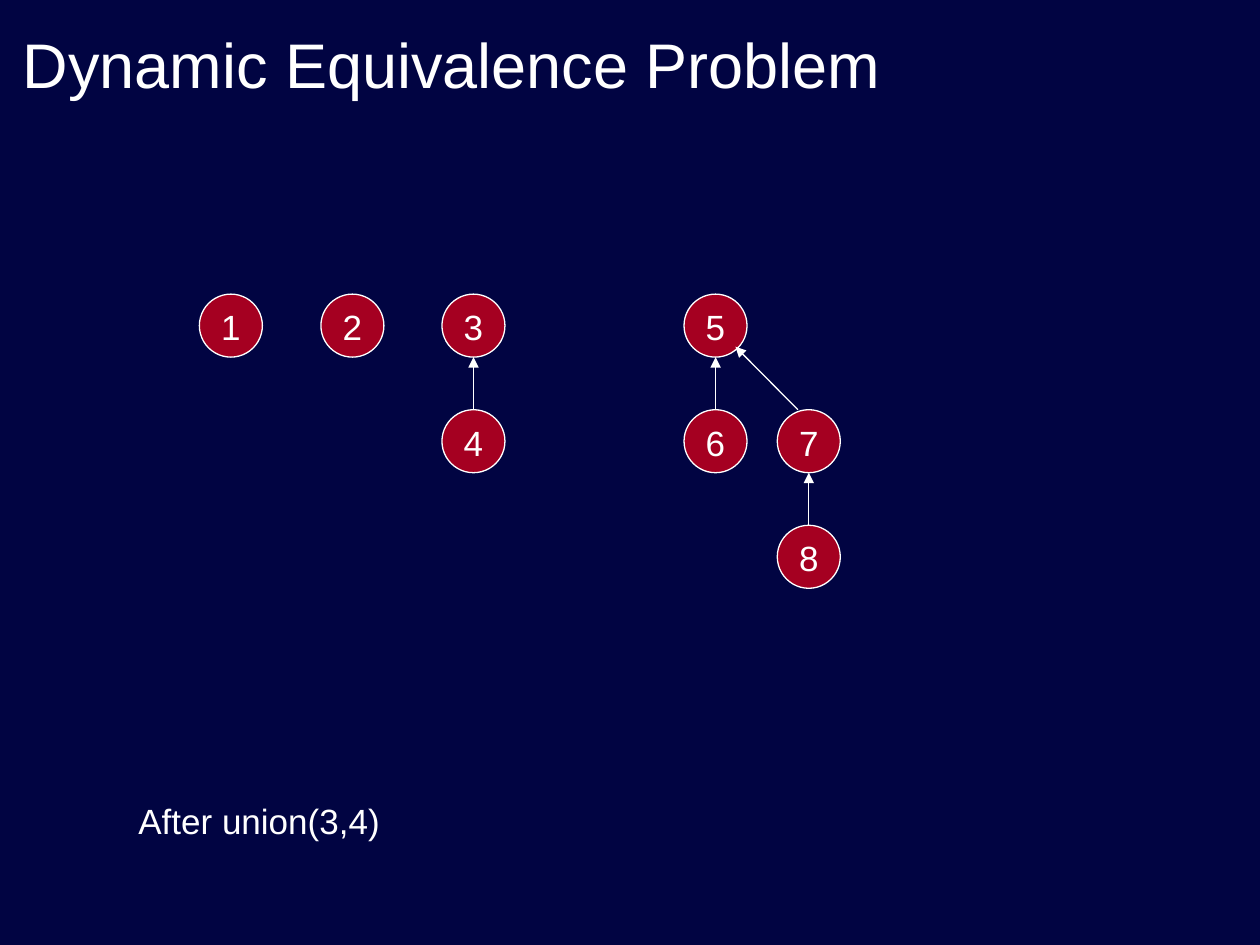
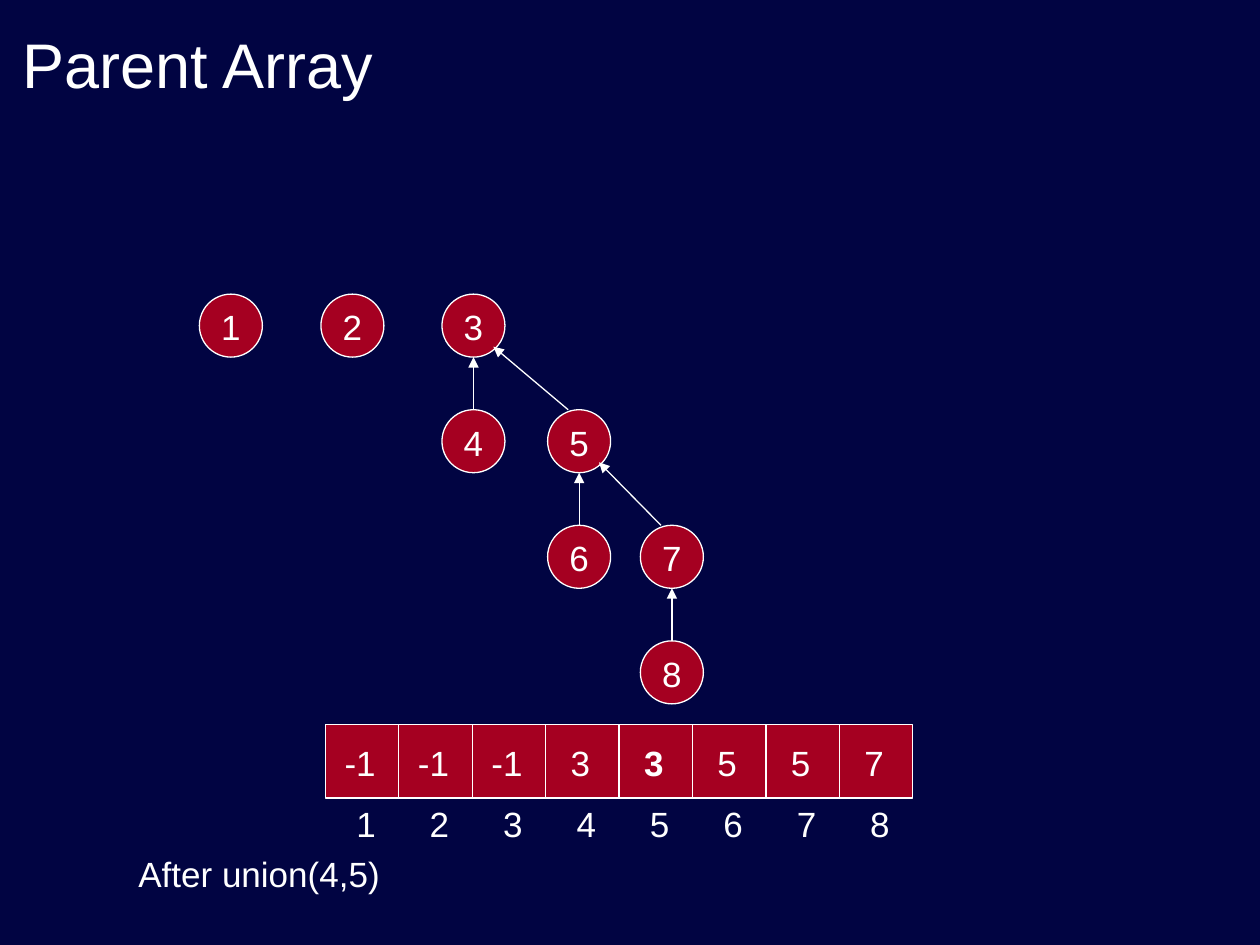
from lxml import etree
from pptx import Presentation
from pptx.dml.color import RGBColor
from pptx.enum import shapes, text
from pptx.oxml.ns import qn
from pptx.util import Cm, Pt

FONT = "Arial"
NAVY, RED, WHITE = "010442", "A50021", "FFFFFF"

# Each node: label -> (left in cm, tree level); each edge: (child, parent)
ROOTS = {"1": (4.02, 0), "2": (6.47, 0), "3": (8.91, 0), "4": (8.91, 1)}
EDGES = [("4", "3"), ("6", "5"), ("7", "5"), ("8", "7")]
SLIDES = [
    {
        "title": "Dynamic Equivalence Problem",
        "caption": ("After union(3,4)", 16.08),
        "nodes": {**ROOTS, "5": (13.79, 0), "6": (13.79, 1),
                  "7": (15.67, 1), "8": (15.67, 2)},
        "edges": EDGES,
    },
    {
        "title": "Parent Array",
        "caption": ("After union(4,5)", 17.15),
        "nodes": {**ROOTS, "5": (11.04, 1), "6": (11.04, 2),
                  "7": (12.91, 2), "8": (12.91, 3)},
        "edges": EDGES + [("5", "3")],
        "parents": ["-1", "-1", "-1", "3", "3", "5", "5", "7"],
        "changed": 5,
    },
]

NODE_SIZE, TREE_TOP, LEVEL_STEP = 1.27, 5.93, 2.33
ARRAY_LEFT, ARRAY_TOP, CELL = 6.56, 14.61, 1.48


def color(hex_string):
    return RGBColor.from_string(hex_string)


def write(shape, words, size=20, align=text.PP_ALIGN.CENTER, bold=False):
    shape.text_frame.text = words
    paragraph = shape.text_frame.paragraphs[0]
    paragraph.alignment = align
    font = paragraph.runs[0].font
    font.name, font.size, font.bold = FONT, Pt(size), bold
    font.color.rgb = color(WHITE)
    return paragraph


def add_text(slide, words, left, top, width, height, **style):
    box = slide.shapes.add_textbox(Cm(left), Cm(top), Cm(width), Cm(height))
    box.text_frame.word_wrap = True
    return box, write(box, words, **style)


def add_red_shape(slide, kind, left, top, width, height):
    shape = slide.shapes.add_shape(kind, Cm(left), Cm(top), Cm(width), Cm(height))
    shape.shadow.inherit = False
    shape.fill.solid()
    shape.fill.fore_color.rgb = color(RED)
    shape.line.color.rgb = color(WHITE)
    shape.line.width = Pt(0.75)
    return shape


def add_line(slide, start, end, arrow=False):
    line = slide.shapes.add_connector(
        shapes.MSO_CONNECTOR.STRAIGHT, *map(Cm, start + end))
    line.line.color.rgb = color(WHITE)
    line.line.width = Pt(0.75)
    if arrow:
        etree.SubElement(line.line._get_or_add_ln(), qn("a:tailEnd"), type="triangle")
    etree.SubElement(line._element.spPr, qn("a:effectLst"))


def add_node(slide, label, left, level):
    node = add_red_shape(slide, shapes.MSO_SHAPE.OVAL, left,
                         TREE_TOP + level * LEVEL_STEP, NODE_SIZE, NODE_SIZE)
    frame = node.text_frame
    frame.margin_left = frame.margin_right = frame.margin_bottom = 0
    frame.margin_top = Cm(0.04)
    frame.vertical_anchor = text.MSO_ANCHOR.MIDDLE
    frame.word_wrap = False
    write(node, label)


def add_edge(slide, child, parent):
    """Point from the top of the child to the lower edge of its parent."""
    (child_left, child_level), (parent_left, parent_level) = child, parent
    start_x, end_x = child_left + NODE_SIZE / 2, parent_left + NODE_SIZE / 2
    start_y = TREE_TOP + child_level * LEVEL_STEP
    end_y = TREE_TOP + parent_level * LEVEL_STEP + NODE_SIZE
    if child_left != parent_left:
        start_x, end_x, end_y = start_x - 0.22, end_x + 0.4, end_y - 0.21
    add_line(slide, (start_x, start_y), (end_x, end_y), arrow=True)


def add_parent_array(slide, parents, changed):
    add_red_shape(slide, shapes.MSO_SHAPE.RECTANGLE,
                  ARRAY_LEFT, ARRAY_TOP, CELL * len(parents), CELL)
    for index, parent in enumerate(parents, start=1):
        left = ARRAY_LEFT + (index - 1) * CELL
        if index > 1:
            add_line(slide, (left, ARRAY_TOP), (left, ARRAY_TOP + CELL))
        add_text(slide, parent, left - 0.04, ARRAY_TOP + 0.21, CELL, 1.11,
                 bold=index == changed)
        add_text(slide, str(index), left + 0.08, ARRAY_TOP + 1.44, CELL, 1.11)


def add_slide(presentation, content):
    slide = presentation.slides.add_slide(presentation.slide_layouts[6])
    slide.background.fill.solid()
    slide.background.fill.fore_color.rgb = color(NAVY)
    title, _ = add_text(slide, content["title"], 0.21, 0, 22.86, 2.54,
                        size=36, align=text.PP_ALIGN.LEFT)
    title.text_frame.vertical_anchor = text.MSO_ANCHOR.MIDDLE
    caption, top = content["caption"]
    _, paragraph = add_text(slide, caption, 2.54, top, 22.02, 1.06,
                            align=text.PP_ALIGN.LEFT)
    paragraph.line_spacing = 0.9

    nodes = content["nodes"]
    for label, (left, level) in nodes.items():
        add_node(slide, label, left, level)
    for child, parent in content["edges"]:
        add_edge(slide, nodes[child], nodes[parent])
    if "parents" in content:
        add_parent_array(slide, content["parents"], content["changed"])


def main():
    presentation = Presentation()
    presentation.slide_width, presentation.slide_height = Cm(25.4), Cm(19.05)
    for content in SLIDES:
        add_slide(presentation, content)
    presentation.save("out.pptx")


if __name__ == "__main__":
    main()
